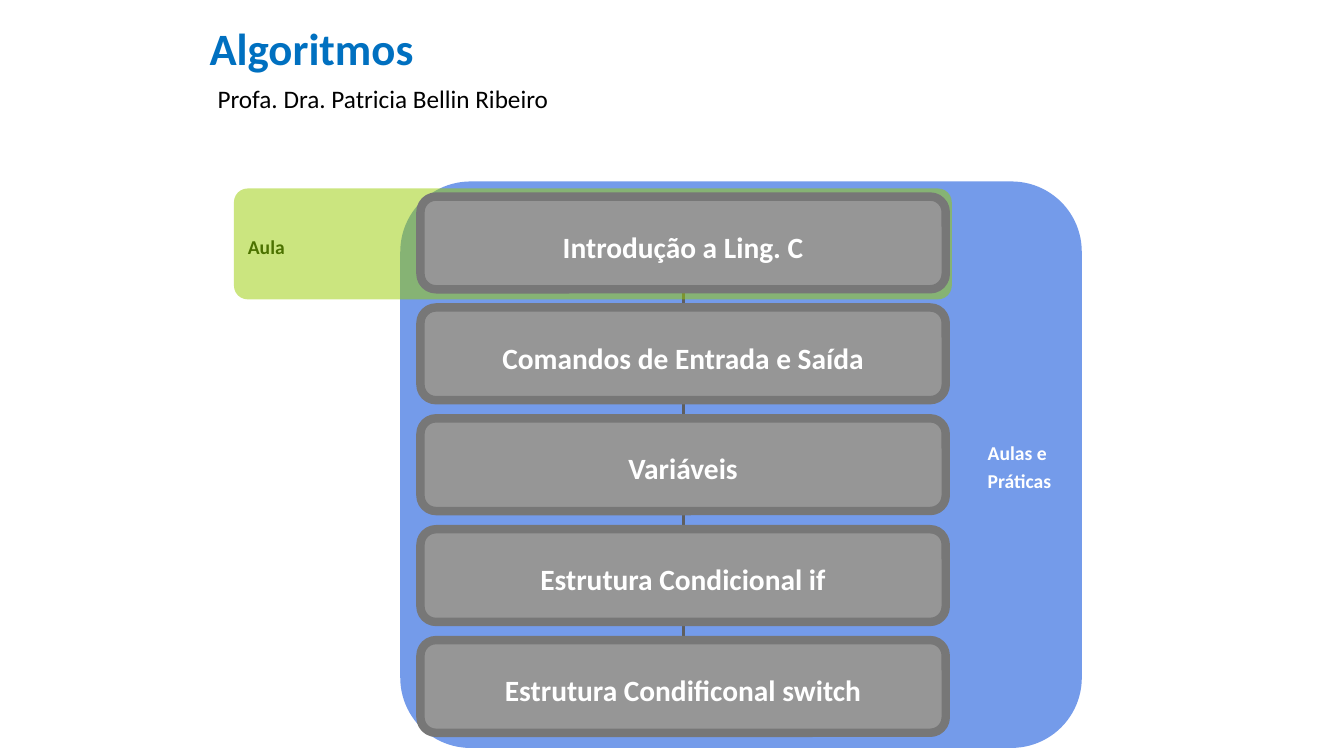
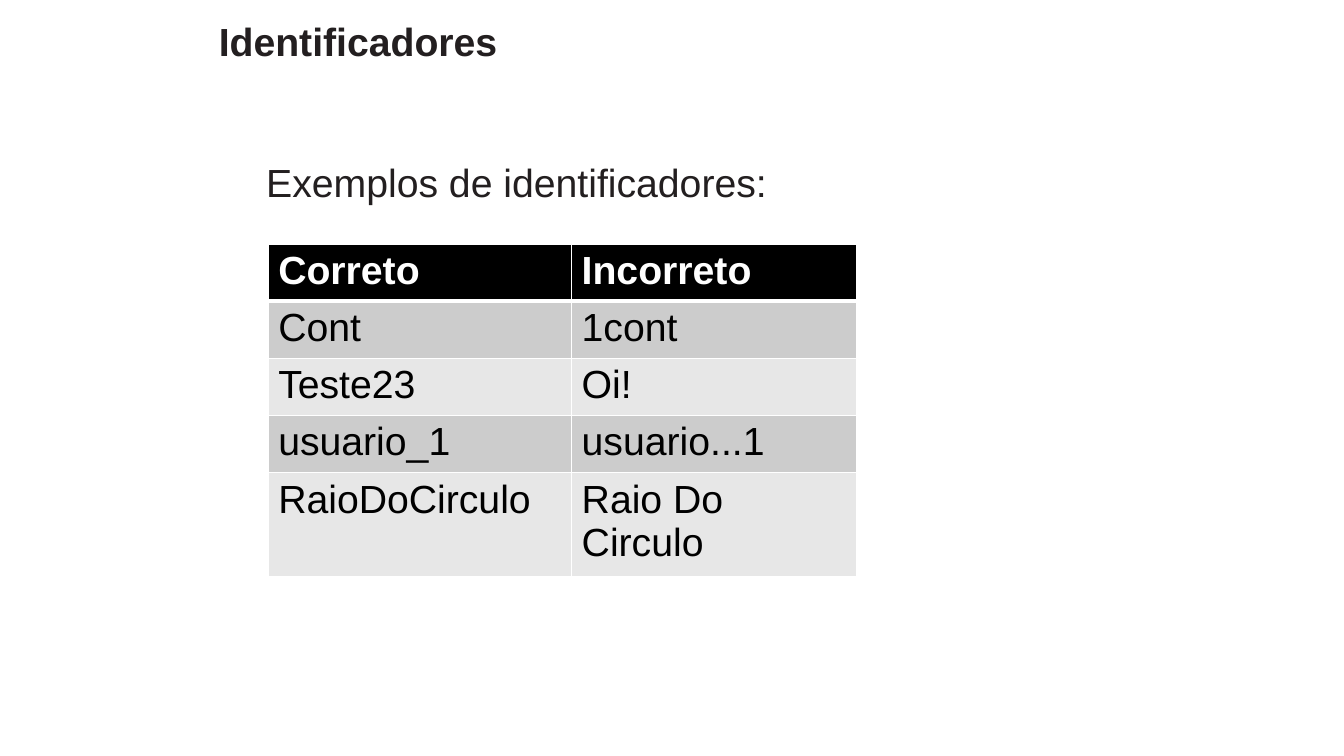
"""Build two slides on algorithms: a topic stack and a table of identifiers."""
from dataclasses import dataclass

from lxml import etree
from pptx import Presentation
from pptx.dml.color import RGBColor
from pptx.enum.shapes import MSO_CONNECTOR, MSO_SHAPE
from pptx.enum.text import MSO_ANCHOR, PP_ALIGN
from pptx.oxml.ns import qn
from pptx.util import Inches, Pt

ROUNDED = MSO_SHAPE.ROUNDED_RECTANGLE
STRAIGHT = MSO_CONNECTOR.STRAIGHT
MIDDLE = MSO_ANCHOR.MIDDLE
LEFT, CENTER, RIGHT = PP_ALIGN.LEFT, PP_ALIGN.CENTER, PP_ALIGN.RIGHT
TOP_SITE, BOTTOM_SITE = 0, 2


@dataclass(frozen=True)
class Theme:
    """Colours, fonts and type sizes shared by the slides."""
    white: str = "FFFFFF"
    black: str = "000000"
    title_blue: str = "0070C0"
    ink: str = "231F20"
    panel: str = "749BEA"
    highlight: str = "99CC00"
    highlight_text: str = "4C7200"
    topic: str = "969696"
    topic_border: str = "777777"
    connector: str = "5F5F5F"
    bands: tuple = ("CCCCCC", "E7E7E7")
    diagram_font: str = "Calibri"
    body_font: str = "Arial"
    title_size: int = 32
    subtitle_size: int = 18
    topic_size: int = 21
    label_size: int = 14
    body_size: int = 28


THEME = Theme()
TOPICS = (
    "Introdução a Ling. C",
    "Comandos de Entrada e Saída",
    "Variáveis",
    "Estrutura Condicional if",
    "Estrutura Condificonal switch",
)
IDENTIFIERS = (
    ("Correto", "Incorreto"),
    ("Cont", "1cont"),
    ("Teste23", "Oi!"),
    ("usuario_1", "usuario...1"),
    ("RaioDoCirculo", "Raio Do Circulo"),
)


def color(value):
    """Turn a hexadecimal string into a colour."""
    return RGBColor.from_string(value)


def write(frame, lines, font, size, ink, bold=False, align=LEFT, spacing=None):
    """Fill a text frame with one paragraph per line."""
    for index, line in enumerate(lines):
        paragraph = frame.add_paragraph() if index else frame.paragraphs[0]
        paragraph.text = line
        paragraph.alignment = align
        paragraph.line_spacing = spacing
        paragraph.font.name = font
        paragraph.font.size = Pt(size)
        paragraph.font.bold = bold
        paragraph.font.color.rgb = color(ink)


def add_text(slide, box, text, font, size, ink, bold=False, inset=0.1):
    """Add a wrapped one-paragraph text box."""
    frame = slide.shapes.add_textbox(*map(Inches, box)).text_frame
    frame.word_wrap = True
    frame.margin_left = frame.margin_right = Inches(inset)
    frame.margin_top = frame.margin_bottom = Inches(inset / 2)
    write(frame, [text], font, size, ink, bold)


def add_block(slide, box, lines, size, fill, ink=THEME.white, align=LEFT,
              corner=0.124, border=None, opacity=None):
    """Add a rounded block holding bold text."""
    shape = slide.shapes.add_shape(ROUNDED, *map(Inches, box))
    shape.shadow.inherit = False
    shape.adjustments[0] = corner
    shape.fill.solid()
    shape.fill.fore_color.rgb = color(fill)
    if opacity is not None:
        solid = shape.fill._xPr.find(qn("a:solidFill"))
        etree.SubElement(solid[0], qn("a:alpha"), val=str(opacity * 1000))
    if border:
        shape.line.color.rgb = color(border)
        shape.line.width = Pt(6)
    else:
        shape.line.fill.background()
    frame = shape.text_frame
    frame.word_wrap = False
    frame.vertical_anchor = MIDDLE
    write(frame, lines, THEME.diagram_font, size, ink, True, align, 1.2)
    return shape


def add_link(slide):
    """Add a plain connector whose ends are joined later."""
    link = slide.shapes.add_connector(STRAIGHT, 0, 0, 0, 0)
    link.line.color.rgb = color(THEME.connector)
    link.line.width = Pt(2.25)
    etree.SubElement(link._element.spPr, qn("a:effectLst"))
    return link


def add_topic_stack(slide, left, top, step):
    """Stack the topics on the panel, with the first one highlighted."""
    add_block(slide, (3.97, 1.8, 6.76, 5.62), ["Aulas e ", "Práticas"],
              THEME.label_size, THEME.panel, align=RIGHT)
    links = [add_link(slide) for _ in TOPICS[1:]]
    add_block(slide, (2.32, 1.87, 7.12, 1.1), ["Aula"], THEME.label_size,
              THEME.highlight, THEME.highlight_text, opacity=50)
    blocks = [
        add_block(slide, (left, top + row * step, 5.21, 0.92), [topic],
                  THEME.topic_size, THEME.topic, align=CENTER, corner=0.167,
                  border=THEME.topic_border)
        for row, topic in enumerate(TOPICS)
    ]
    for link, upper, lower in zip(links, blocks, blocks[1:]):
        link.begin_connect(upper, BOTTOM_SITE)
        link.end_connect(lower, TOP_SITE)


def set_borders(cell, bottom_width):
    """Draw white borders round a cell, ahead of its fill."""
    properties = cell._tc.get_or_add_tcPr()
    widths = (("L", 1), ("R", 1), ("T", 1), ("B", bottom_width))
    for index, (side, width) in enumerate(widths):
        border = etree.Element(qn(f"a:ln{side}"), w=str(Pt(width)))
        solid = etree.SubElement(border, qn("a:solidFill"))
        etree.SubElement(solid, qn("a:srgbClr"), val=THEME.white)
        properties.insert(index, border)


def add_identifier_table(slide, left, top, widths, row_height):
    """Add the table with a black header and banded rows."""
    table = slide.shapes.add_table(
        len(IDENTIFIERS), len(widths), Inches(left), Inches(top),
        Inches(sum(widths)), Inches(row_height * len(IDENTIFIERS))).table
    for column, width in zip(table.columns, widths):
        column.width = Inches(width)
    for row, texts in enumerate(IDENTIFIERS):
        header = row == 0
        fill = THEME.black if header else THEME.bands[(row - 1) % 2]
        ink = THEME.white if header else THEME.black
        for column, text in enumerate(texts):
            cell = table.cell(row, column)
            cell.fill.solid()
            cell.fill.fore_color.rgb = color(fill)
            set_borders(cell, 3 if header else 1)
            write(cell.text_frame, [text], THEME.body_font, THEME.body_size,
                  ink, header)


def build_topics(slide):
    """Build the overview of the course topics."""
    add_text(slide, (2.06, 0.78, 9.06, 0.4),
             "Profa. Dra. Patricia Bellin Ribeiro", THEME.diagram_font,
             THEME.subtitle_size, THEME.black)
    add_text(slide, (1.98, 0.16, 9.38, 0.64), "Algoritmos",
             THEME.diagram_font, THEME.title_size, THEME.title_blue, True)
    add_topic_stack(slide, left=4.17, top=1.95, step=1.1)


def build_identifiers(slide):
    """Build the examples of right and wrong identifiers."""
    add_text(slide, (2.17, 0.17, 9.25, 0.5), "Identificadores",
             THEME.body_font, THEME.body_size, THEME.ink, True, inset=0)
    add_text(slide, (2.64, 1.57, 8.78, 0.5), "Exemplos de identificadores:",
             THEME.body_font, THEME.body_size, THEME.ink, inset=0)
    add_identifier_table(slide, 2.66, 2.42, (3.01, 2.83), 0.41)


def main():
    """Create and save the presentation."""
    presentation = Presentation()
    presentation.slide_width = Inches(13.33)
    presentation.slide_height = Inches(7.5)
    blank = presentation.slide_layouts[6]
    for build in (build_topics, build_identifiers):
        build(presentation.slides.add_slide(blank))
    presentation.save("out.pptx")


if __name__ == "__main__":
    main()
